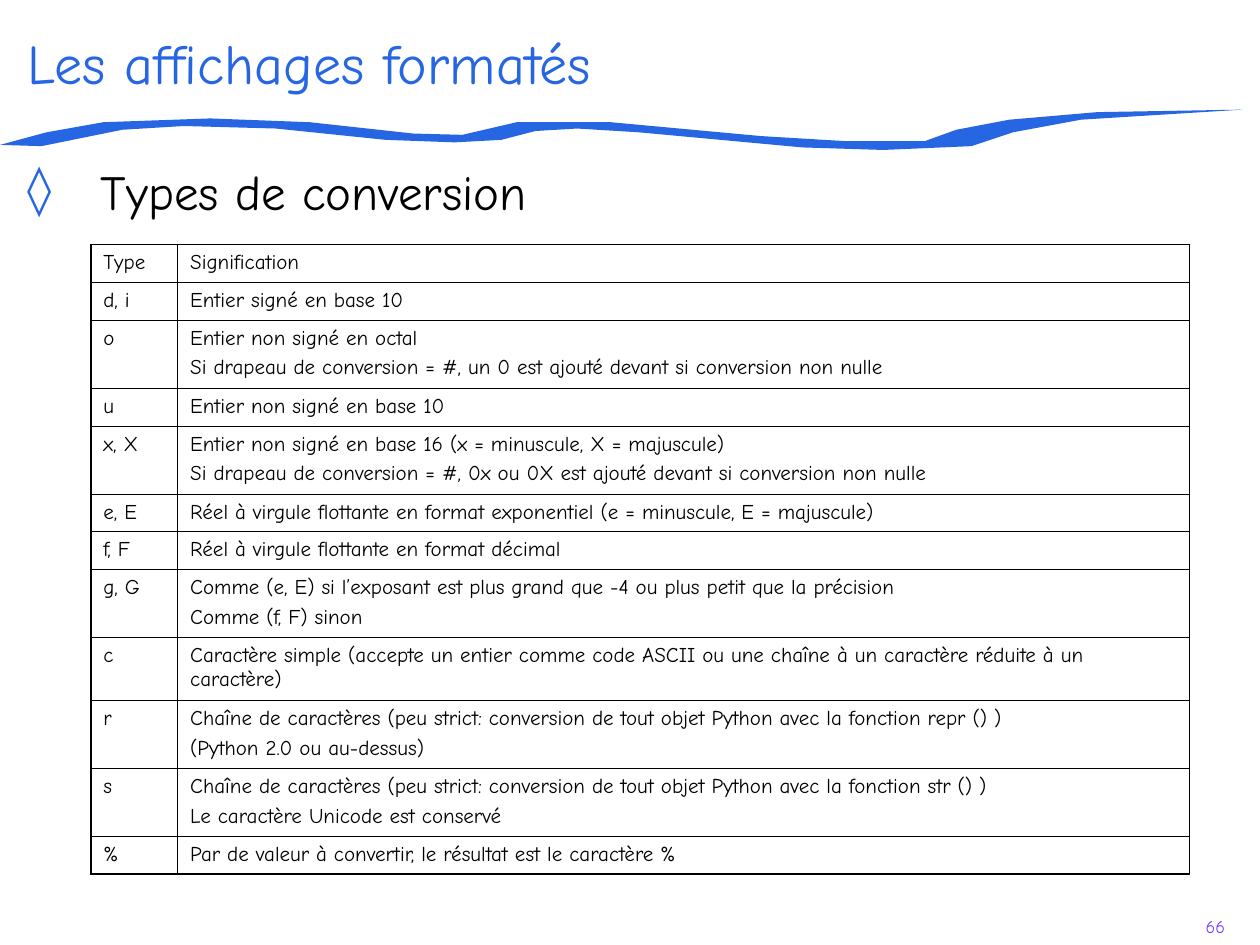
from lxml import etree
from pptx import Presentation
from pptx.dml.color import RGBColor
from pptx.enum.text import MSO_ANCHOR, MSO_AUTO_SIZE, PP_ALIGN
from pptx.oxml.ns import qn
from pptx.util import Inches, Pt

CENTER = PP_ALIGN.CENTER
MIDDLE, TOP = MSO_ANCHOR.MIDDLE, MSO_ANCHOR.TOP
NO_FIT = MSO_AUTO_SIZE.NONE
FONT = "Comic Neue"
COLORS = {"accent": "2766E3", "text": "000000", "number": "703DFF"}
NO_STYLE = "{2D5ABB26-0587-4C30-8999-92F81FD0307C}"

TITLE = "Les affichages formatés"
HEADING = "Types de conversion"
NUMBER = "66"
ROWS = [
    ("Type", ["Signification"]),
    ("d, i", ["Entier signé en base 10"]),
    ("o", ["Entier non signé en octal",
           "Si drapeau de conversion = #, un 0 est ajouté devant si conversion non nulle"]),
    ("u", ["Entier non signé en base 10"]),
    ("x, X", ["Entier non signé en base 16 (x = minuscule, X = majuscule)",
              "Si drapeau de conversion = #, 0x ou 0X est ajouté devant si conversion non nulle"]),
    ("e, E", ["Réel à virgule flottante en format exponentiel (e = minuscule, E = majuscule)"]),
    ("f, F", ["Réel à virgule flottante en format décimal"]),
    ("g, G", ["Comme (e, E) si l’exposant est plus grand que -4 ou plus petit que la précision",
              "Comme (f, F) sinon"]),
    ("c", ["Caractère simple (accepte un entier comme code ASCII ou une chaîne "
           "à un caractère réduite à un caractère)"]),
    ("r", ["Chaîne de caractères (peu strict: conversion de tout objet Python avec la fonction repr () )",
           "(Python 2.0 ou au-dessus)"]),
    ("s", ["Chaîne de caractères (peu strict: conversion de tout objet Python avec la fonction str () )",
           "Le caractère Unicode est conservé"]),
    ("%", ["Par de valeur à convertir, le résultat est le caractère %"]),
]
COLUMN_WIDTHS = [0.69, 8.03]
ROW_HEIGHT, TWO_PARAGRAPHS, WRAPPED = 0.3, 0.54, 0.5
WRAP_LENGTH = 95
THIN, THICK = 0.45, 1.08

RIBBON = [
    (0.33, 1.16), (0.97, 1.03), (1.46, 1), (2.19, 1.02), (3.06, 1.11), (3.61, 1.13),
    (3.98, 1.11), (4.25, 1.04), (4.58, 1.02), (5.07, 1.05), (6.37, 1.17), (7.01, 1.19),
    (7.71, 1.16), (8.04, 1.05), (8.58, 0.95), (9.86, 0.87), (8.71, 0.89), (8.01, 0.95),
    (7.59, 1.03), (7.34, 1.12), (6.71, 1.12), (6.04, 1.08), (4.85, 0.97), (4.1, 0.97),
    (3.67, 1.07), (3.28, 1.06), (2.46, 0.97), (1.67, 0.94), (0.82, 0.97), (0.37, 1.05),
    (0, 1.15),
]


def style(p, size, color, before=0):
    p.space_before = Pt(before)
    for r in p.runs:
        r.font.name = FONT
        r.font.size = Pt(size)
        r.font.color.rgb = RGBColor.from_string(COLORS[color])


def place(sp, left, top, width, height):
    sp.left, sp.top = Inches(left), Inches(top)
    sp.width, sp.height = Inches(width), Inches(height)


def fill_placeholder(sp, box, text, size, color, anchor):
    place(sp, *box)
    tf = sp.text_frame
    tf.text = text
    tf.auto_size = NO_FIT
    tf.vertical_anchor = anchor
    return tf.paragraphs[0]


def add_bullet(p, char, color, indent):
    pPr = p._p.get_or_add_pPr()
    pPr.set("marL", str(Inches(indent)))
    pPr.set("indent", str(-Inches(indent)))
    clr = etree.SubElement(pPr, qn("a:buClr"))
    etree.SubElement(clr, qn("a:srgbClr"), val=COLORS[color])
    etree.SubElement(pPr, qn("a:buFont"), typeface=FONT)
    etree.SubElement(pPr, qn("a:buChar"), char=char)


def set_borders(cell, widths):
    tcPr = cell._tc.get_or_add_tcPr()
    for side, width in widths.items():
        ln = etree.SubElement(tcPr, qn(f"a:ln{side}"), w=str(Pt(width)))
        fill = etree.SubElement(ln, qn("a:solidFill"))
        etree.SubElement(fill, qn("a:srgbClr"), val=COLORS["text"])


def add_ribbon(s):
    points = [(Inches(x), Inches(y)) for x, y in RIBBON]
    builder = s.shapes.build_freeform(*points[0])
    builder.add_line_segments(points[1:], close=True)
    sp = builder.convert_to_shape()
    place(sp, 0, 0.87, 9.86, 0.32)
    sp.shadow.inherit = False
    sp.fill.solid()
    sp.fill.fore_color.rgb = RGBColor.from_string(COLORS["accent"])
    sp.line.fill.background()


def row_height(lines):
    if len(lines) > 1:
        return TWO_PARAGRAPHS
    return WRAPPED if len(lines[0]) > WRAP_LENGTH else ROW_HEIGHT


def add_conversions(s):
    heights = [row_height(lines) for _, lines in ROWS]
    frame = s.shapes.add_table(len(ROWS), 2, Inches(0.72), Inches(1.94),
                               Inches(sum(COLUMN_WIDTHS)), Inches(sum(heights)))
    table = frame.table
    table.first_row = table.horz_banding = False
    table._tbl.tblPr.find(qn("a:tableStyleId")).text = NO_STYLE
    for column, width in zip(table.columns, COLUMN_WIDTHS):
        column.width = Inches(width)
    last = len(ROWS) - 1
    for i, (code, lines) in enumerate(ROWS):
        table.rows[i].height = Inches(heights[i])
        for j, text in enumerate([code, "\n".join(lines)]):
            cell = table.cell(i, j)
            set_borders(cell, {"L": THICK if j == 0 else THIN,
                               "R": THICK if j == 1 else THIN,
                               "T": THICK if i == 0 else THIN,
                               "B": THICK if i == last else THIN})
            cell.fill.background()
            cell.text_frame.text = text
            for k, p in enumerate(cell.text_frame.paragraphs):
                style(p, 12, "text", 3 if k else 0)


def main():
    """Build the slide on Python format conversion types."""
    prs = Presentation()
    prs.slide_width, prs.slide_height = Inches(10), Inches(7.5)
    s = prs.slides.add_slide(prs.slide_layouts[1])
    title, body = s.placeholders

    p = fill_placeholder(title, (0.12, 0.17, 9.75, 0.64), TITLE, 32, "accent", MIDDLE)
    p.alignment = PP_ALIGN.LEFT
    style(p, 32, "accent")

    p = fill_placeholder(body, (0.12, 1.23, 9.76, 5.98), HEADING, 28, "text", TOP)
    add_bullet(p, "◊", "accent", 0.58)
    style(p, 28, "text")

    add_ribbon(s)
    add_conversions(s)

    sp = s.shapes.add_textbox(Inches(9.29), Inches(7.22), Inches(0.71), Inches(0.28))
    tf = sp.text_frame
    tf.word_wrap = True
    tf.text = NUMBER
    p = tf.paragraphs[0]
    p.alignment = CENTER
    style(p, 10.2, "number")
    prs.save("out.pptx")


if __name__ == "__main__":
    main()
